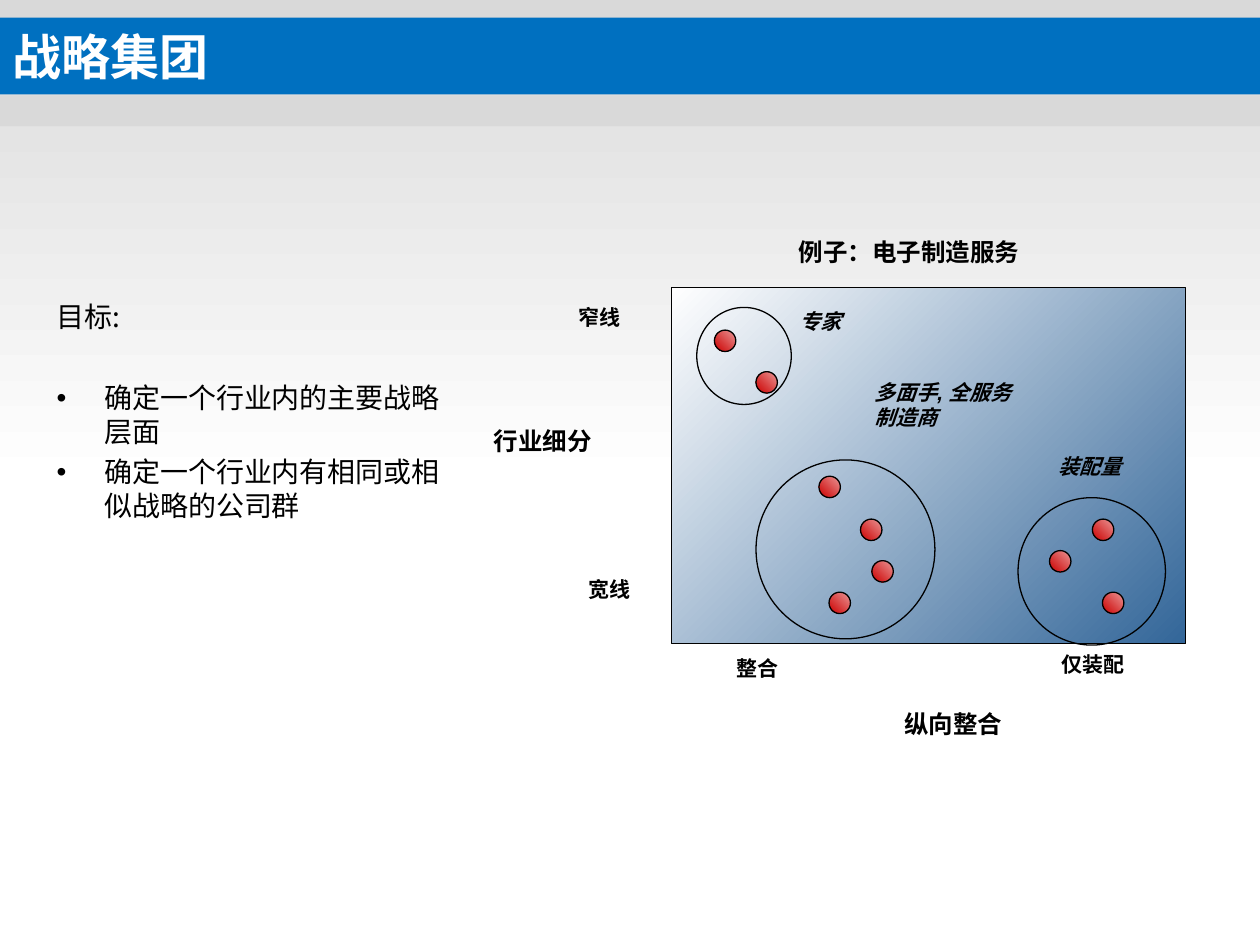
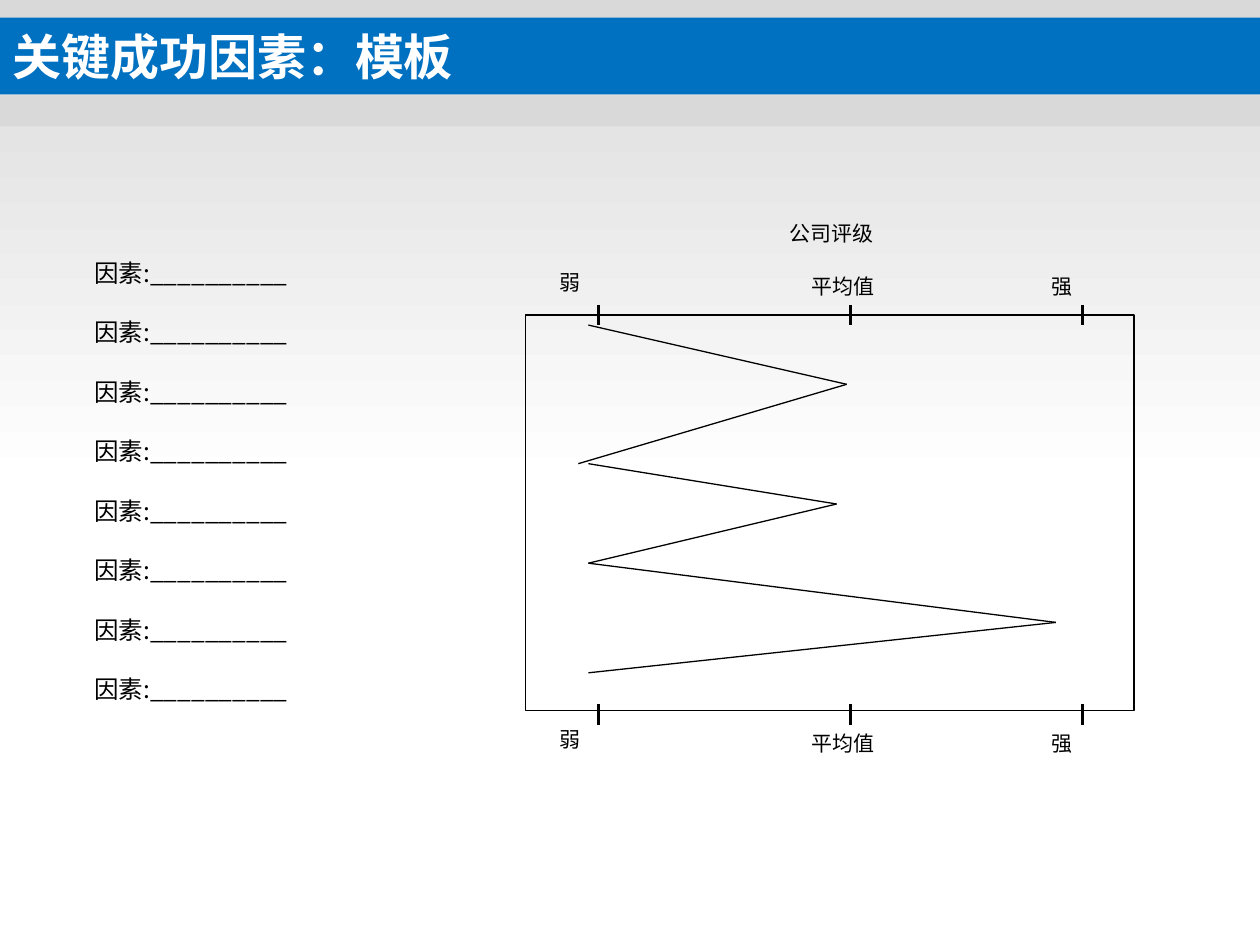
from itertools import pairwise
from lxml import etree
from pptx import Presentation
from pptx import util as u
from pptx.dml.color import RGBColor
from pptx.enum import shapes, text
from pptx.oxml import ns

BLACK, WHITE, GREY, BLUE = "000000", "FFFFFF", "D9D9D9", "0070C0"
CJK = "Noto Sans CJK SC"
RECT, OVAL = shapes.MSO_SHAPE.RECTANGLE, shapes.MSO_SHAPE.OVAL


def paint(fill, *tints, turn=0):
    """No tint clears the fill, one is solid, two make a gradient."""
    if not tints:
        fill.background()
    elif len(tints) == 1:
        fill.solid()
        fill.fore_color.rgb = RGBColor.from_string(tints[0])
    else:
        fill.gradient()
        fill.gradient_angle = turn
        for stop, tint in zip(fill.gradient_stops, tints):
            stop.color.rgb = RGBColor.from_string(tint)


def write(frame, lines, ink=BLACK, gap=0, **looks):
    """Fill a text frame; gap is the space before each later line."""
    for i, line in enumerate(lines):
        para = frame.paragraphs[0] if i == 0 else frame.add_paragraph()
        para.space_before = u.Pt(gap if i else 0)
        run = para.add_run()
        run.text = line
        paint(run.font.fill, ink)
        for key, val in looks.items():
            setattr(run.font, key, val)
        etree.SubElement(run._r.get_or_add_rPr(), ns.qn("a:ea"), typeface=CJK)


deck = Presentation()
deck.slide_width, deck.slide_height = u.Inches(10), u.Inches(7.5)
group = deck.slides.add_slide(deck.slide_layouts[1])
factor = deck.slides.add_slide(deck.slide_layouts[5])

# Shared backdrop, moved to the master behind everything
bands = [(0, 3.83, (GREY, WHITE)), (0.76, 0.24, (GREY,))]
for i, (top, high, tints) in enumerate(bands):
    band = group.shapes.add_shape(RECT, 0, u.Inches(top), u.Inches(10), u.Inches(high))
    band.shadow.inherit = False
    paint(band.fill, *tints, turn=270)
    paint(band.line.fill)
    deck.slide_master.shapes.element.insert(2 + i, band.element)

# Titles
for slide, name in [(group, "战略集团"), (factor, "关键成功因素：模板")]:
    title = slide.shapes.title
    title.left, title.top = 0, u.Inches(0.14)
    title.width, title.height = u.Inches(10), u.Inches(0.61)
    paint(title.fill, BLUE)
    frame = title.text_frame
    frame.auto_size = text.MSO_AUTO_SIZE.NONE
    frame.vertical_anchor = text.MSO_ANCHOR.MIDDLE
    write(frame, [name], WHITE, size=u.Pt(28), bold=True, name="Arial")
    frame.paragraphs[0].alignment = text.PP_ALIGN.LEFT

# Goals list
body = group.placeholders[1]
body.left, body.top = u.Inches(0.35), u.Inches(2.33)
body.width, body.height = u.Inches(3.31), u.Inches(3.46)
body.text_frame.auto_size = text.MSO_AUTO_SIZE.NONE
goals = ["目标:", "确定一个行业内的主要战略层面", "确定一个行业内有相同或相似战略的公司群"]
write(body.text_frame, goals, gap=4, size=u.Pt(16), bold=False, name=CJK)
for i, para in enumerate(body.text_frame.paragraphs):
    prop = para._p.get_or_add_pPr()
    prop.set("marL", str(u.Inches(0.38)))
    prop.set("indent", str(-u.Inches(0.38)))
    if i:
        etree.SubElement(prop, ns.qn("a:buFont"), typeface="Arial")
        etree.SubElement(prop, ns.qn("a:buChar"), char="•")
    else:
        etree.SubElement(prop, ns.qn("a:buNone"))
body.text_frame.paragraphs[1].space_before = u.Pt(27)

# Map, company dots, group rings and rating frame
dots = [(6.58, 4.7), (6.83, 4.12), (6.92, 4.45), (6.5, 3.78), (8.67, 4.12),
        (8.33, 4.37), (8.75, 4.7), (5.67, 2.62), (6, 2.95)]
rings = [(5.53, 2.44, 0.75, 0.77), (8.08, 3.95, 1.17, 1.17), (6, 3.65, 1.42, 1.42)]
forms = [(group, RECT, (5.33, 2.28, 4.08, 2.83), ("336699", WHITE), 135)]
forms += [(group, OVAL, (x, y, 0.17, 0.17), ("EB9999", "CC0000"), 225) for x, y in dots]
forms += [(group, OVAL, ring, (), 0) for ring in rings]
forms += [(factor, RECT, (4.17, 2.5, 4.83, 3.14), (), 0)]
for slide, kind, spot, tints, turn in forms:
    form = slide.shapes.add_shape(kind, *map(u.Inches, spot))
    form.shadow.inherit = False
    paint(form.fill, *tints, turn=turn)
    paint(form.line.fill, BLACK)
    form.line.width = u.Pt(0.75)

# Labels: slide, words, left, top, width, height, size, format
bold = {"bold": True, "name": CJK}
slant = {"bold": True, "italic": True, "name": "Arial"}
plain = {"name": CJK}
labels = [
    (group, "行业细分", 3.82, 3.33, 1.49, 0.34, 14, bold),
    (group, "纵向整合", 6.45, 5.58, 2.23, 0.34, 14, bold),
    (group, "宽线", 4.57, 4.53, 0.65, 0.3, 12, bold),
    (group, "窄线", 4.49, 2.37, 0.71, 0.3, 12, bold),
    (group, "整合", 5.75, 5.15, 1.42, 0.3, 12, bold),
    (group, "装配量", 8.3, 3.55, 0.95, 0.3, 12, slant),
    (group, "仅装配", 8.33, 5.12, 1.25, 0.3, 12, bold),
    (group, "专家", 6.25, 2.4, 1.17, 0.3, 12, slant),
    (group, "多面手, 全服务制造商", 6.84, 2.96, 1.42, 0.5, 12, slant),
    (group, "例子：电子制造服务", 6.24, 1.83, 2.92, 0.34, 14, bold),
    (factor, "公司评级", 6.17, 1.7, 1.03, 0.3, 12, plain),
]
for weak, top in [(2.09, 2.12), (5.72, 5.75)]:
    labels += [
        (factor, "弱", 4.34, weak, 1, 0.3, 12, plain),
        (factor, "平均值", 6.34, top, 0.7, 0.3, 12, plain),
        (factor, "强", 8.25, top, 0.36, 0.3, 12, plain),
    ]
labels.append((factor, "\n".join(["因素:__________"] * 8), 0.65, 1.88, 2.58, 3.75, 14, plain))
for slide, words, x, y, wide, high, size, looks in labels:
    box = slide.shapes.add_textbox(*map(u.Inches, (x, y, wide, high)))
    frame = box.text_frame
    frame.word_wrap = words not in ("平均值", "强")
    frame.auto_size = text.MSO_AUTO_SIZE.SHAPE_TO_FIT_TEXT
    lines = words.split("\n")
    write(frame, lines, gap=8.8, size=u.Pt(size), **looks)
    for para in frame.paragraphs:
        if len(lines) > 1:
            para.line_spacing = 1.5
        if words == "纵向整合":
            para.alignment = text.PP_ALIGN.CENTER

# Scale ticks and rating profile
ticks = [((x, y), (x, y + 0.16), 1.5) for y in (2.42, 5.59) for x in (4.75, 6.75, 8.59)]
trails = [
    [(4.67, 2.58), (6.72, 3.05), (4.59, 3.68)],
    [(4.67, 3.68), (6.64, 4), (4.67, 4.47), (8.38, 4.94), (4.67, 5.34)],
]
legs = [(a, b, 0.75) for trail in trails for a, b in pairwise(trail)]
for start, end, wide in ticks + legs:
    line = factor.shapes.add_connector(
        shapes.MSO_CONNECTOR.STRAIGHT, *map(u.Inches, start + end))
    paint(line.line.fill, BLACK)
    line.line.width = u.Pt(wide)
    etree.SubElement(line.element.spPr, ns.qn("a:effectLst"))

deck.save("out.pptx")
